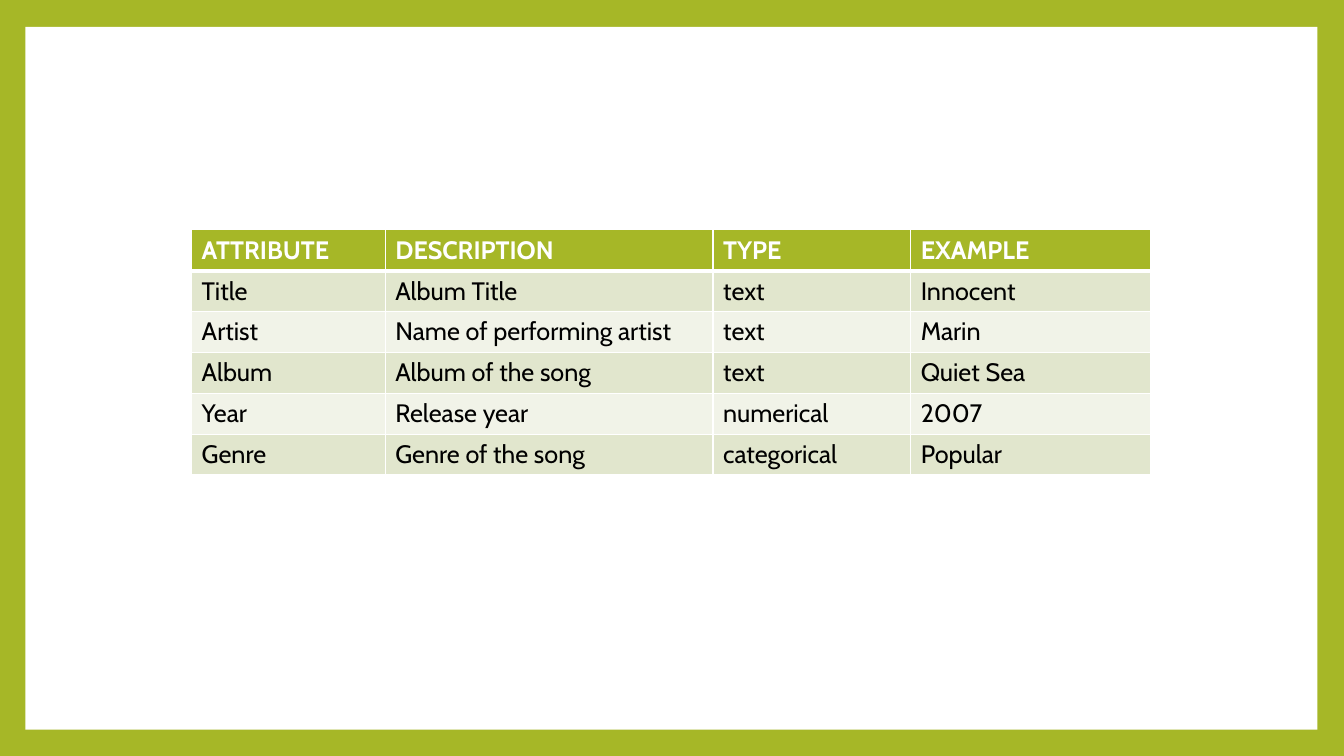
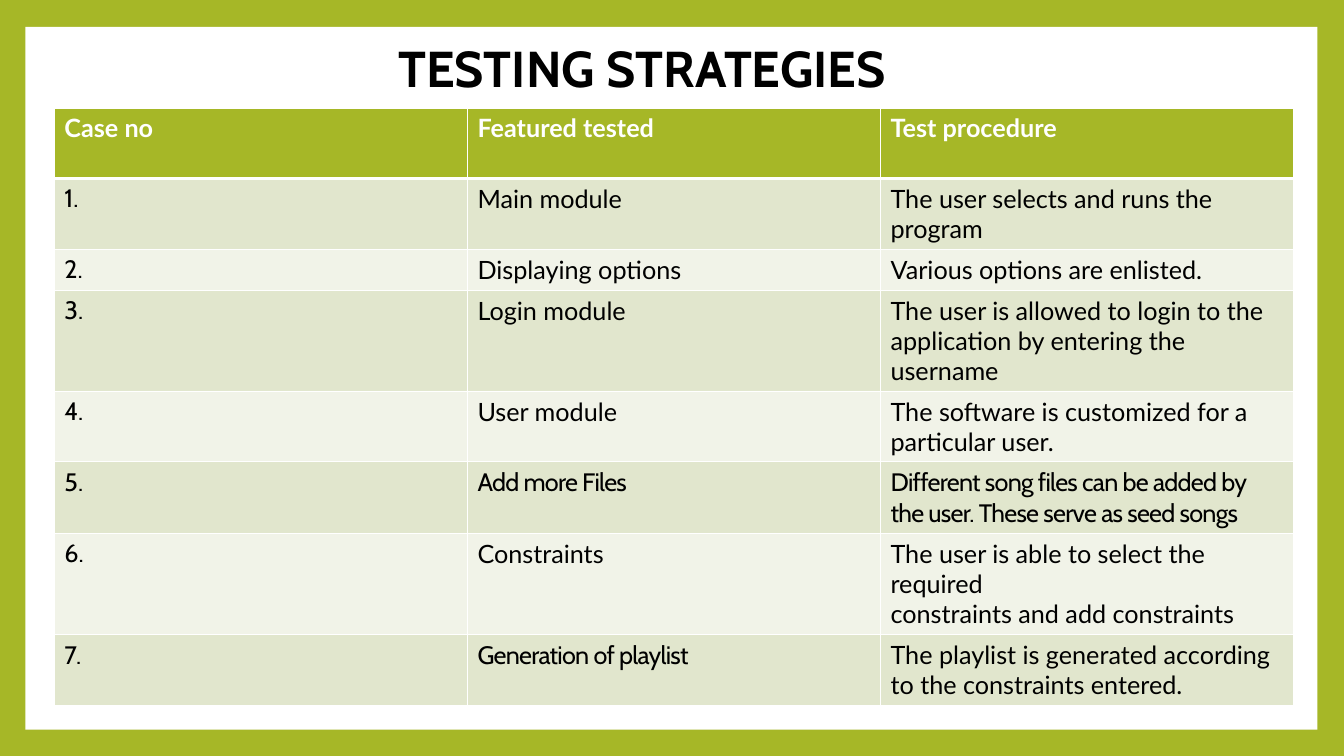
from dataclasses import dataclass

import pptx
import pptx.dml.color
import pptx.enum.shapes
import pptx.enum.text
import pptx.oxml
import pptx.oxml.ns
import pptx.presentation
import pptx.slide
import pptx.table
import pptx.text.text
import pptx.util
from pptx.util import Cm

TITLE_ONLY, BLANK = 5, 6


@dataclass(frozen=True)
class Theme:
    green: str = "A6B727"
    white: str = "FFFFFF"
    black: str = "000000"
    bands: tuple[str, str] = ("E1E6CD", "F1F3E8")
    title_size: int = 36
    table_size: int = 18
    thin_rule: float = 1
    thick_rule: float = 3


@dataclass(frozen=True)
class Typeface:
    name: str
    spacing: float = 0


@dataclass(frozen=True)
class Entry:
    """Text of one table cell; each line becomes a paragraph."""
    text: str
    face: Typeface


@dataclass(frozen=True)
class Grid:
    left: float
    top: float
    columns: tuple[float, ...]
    heights: tuple[float, ...]
    rows: list[list[Entry]]


THEME = Theme()
CABIN = Typeface("Cabin")
CABIN_TIGHT = Typeface("Cabin", -0.5)
LATO = Typeface("Lato")

ATTRIBUTES = [
    ("ATTRIBUTE", "DESCRIPTION", "TYPE", "EXAMPLE"),
    ("Title", "Album Title", "text", "Innocent"),
    ("Artist", "Name of performing artist", "text", "Marin"),
    ("Album", "Album of the song", "text", "Quiet Sea"),
    ("Year", "Release year", "numerical", "2007"),
    ("Genre", "Genre of the song", "categorical", "Popular"),
]

TEST_CASES = [
    (Entry("Main module", LATO),
     Entry("The user selects and runs the program", LATO)),
    (Entry("Displaying options", LATO),
     Entry("Various options are enlisted.", LATO)),
    (Entry("Login module", LATO),
     Entry("The user is allowed to login to the application by entering "
           "the username", LATO)),
    (Entry("User module", LATO),
     Entry("The software is customized for a particular user.", LATO)),
    (Entry("Add more Files", CABIN_TIGHT),
     Entry("Different song files can be added by the user. "
           "These serve as seed songs", CABIN_TIGHT)),
    (Entry("Constraints", LATO),
     Entry("The user is able to select the required\n"
           "constraints and add constraints", LATO)),
    (Entry("Generation of playlist", CABIN_TIGHT),
     Entry("The playlist is generated according to the constraints entered.",
           LATO)),
]


def rgb(color: str) -> pptx.dml.color.RGBColor:
    return pptx.dml.color.RGBColor.from_string(color)


def add_span(para: pptx.text.text._Paragraph, text: str, face: Typeface,
             size: int, color: str, bold: bool) -> None:
    span = para.add_run()
    span.text = text
    span.font.name = face.name
    span.font.size = pptx.util.Pt(size)
    span.font.bold = bold
    span.font.color.rgb = rgb(color)
    if face.spacing:
        span.font._element.set("spc", str(round(face.spacing * 100)))


def set_borders(cell: pptx.table._Cell, top: float, bottom: float) -> None:
    """Rule a cell in white; the line elements must precede its fill."""
    widths = {"lnL": THEME.thin_rule, "lnR": THEME.thin_rule,
              "lnT": top, "lnB": bottom}
    properties = cell._tc.get_or_add_tcPr()
    for index, (tag, width) in enumerate(widths.items()):
        properties.insert(index, pptx.oxml.parse_xml(
            f'<a:{tag} {pptx.oxml.ns.nsdecls("a")} w="{pptx.util.Pt(width)}">'
            f'<a:solidFill><a:srgbClr val="{THEME.white}"/></a:solidFill>'
            f'</a:{tag}>'))


def fill_cell(cell: pptx.table._Cell, entry: Entry, row: int) -> None:
    header = row == 0
    cell.fill.solid()
    cell.fill.fore_color.rgb = rgb(
        THEME.green if header else THEME.bands[(row - 1) % 2])
    set_borders(cell,
                top=THEME.thick_rule if row == 1 else THEME.thin_rule,
                bottom=THEME.thick_rule if header else THEME.thin_rule)
    for index, line in enumerate(entry.text.split("\n")):
        frame = cell.text_frame
        para = frame.add_paragraph() if index else frame.paragraphs[0]
        add_span(para, line, entry.face, THEME.table_size,
                 THEME.white if header else THEME.black, header)


def add_grid(page: pptx.slide.Slide, grid: Grid) -> None:
    table = page.shapes.add_table(
        len(grid.rows), len(grid.columns), Cm(grid.left), Cm(grid.top),
        Cm(sum(grid.columns)), Cm(sum(grid.heights))).table
    for column, width in zip(table.columns, grid.columns):
        column.width = Cm(width)
    for index, (row, height) in enumerate(zip(table.rows, grid.heights)):
        row.height = Cm(height)
        for cell, entry in zip(row.cells, grid.rows[index]):
            fill_cell(cell, entry, index)


def set_title(page: pptx.slide.Slide, text: str) -> None:
    title = page.shapes.title
    title.left, title.top = Cm(9.78), Cm(1.14)
    title.width, title.height = Cm(15.77), Cm(1.32)
    title.text_frame.vertical_anchor = pptx.enum.text.MSO_ANCHOR.MIDDLE
    para = title.text_frame.paragraphs[0]
    para.alignment = pptx.enum.text.PP_ALIGN.LEFT
    para.line_spacing = 0.9
    add_span(para, text, CABIN, THEME.title_size, THEME.black, True)


def style_master(deck: pptx.presentation.Presentation,
                 page: pptx.slide.Slide) -> None:
    """Give the master a green ground and a white panel, drawn via page."""
    master = deck.slide_master
    master.background.fill.solid()
    master.background.fill.fore_color.rgb = rgb(THEME.green)
    panel = page.shapes.add_shape(
        pptx.enum.shapes.MSO_SHAPE.RECTANGLE,
        Cm(0.64), Cm(0.68), Cm(32.56), Cm(17.71))
    panel.shadow.inherit = False
    panel.fill.solid()
    panel.fill.fore_color.rgb = rgb(THEME.white)
    panel.line.fill.background()
    panel.element.nvSpPr.cNvPr.set("id", "50")
    master.element.cSld.spTree.insert(2, panel.element)


def attribute_grid() -> Grid:
    rows = [[Entry(text, CABIN) for text in row] for row in ATTRIBUTES]
    return Grid(4.83, 5.79, (4.88, 8.26, 4.98, 6.05),
                (1.03,) * len(rows), rows)


def testing_grid() -> Grid:
    header = [Entry(text, LATO)
              for text in ("Case no", "Featured tested", "Test procedure")]
    cases = [[Entry(f"{number}.", CABIN), *case]
             for number, case in enumerate(TEST_CASES, start=1)]
    one, two, three = 1.03, 1.78, 2.55
    return Grid(1.37, 2.72, (10.41,) * 3,
                (two, two, one, three, two, two, three, two),
                [header, *cases])


def main() -> None:
    deck = pptx.Presentation()
    deck.slide_width, deck.slide_height = Cm(33.87), Cm(19.05)

    attributes = deck.slides.add_slide(deck.slide_layouts[BLANK])
    style_master(deck, attributes)
    add_grid(attributes, attribute_grid())

    testing = deck.slides.add_slide(deck.slide_layouts[TITLE_ONLY])
    set_title(testing, "TESTING STRATEGIES")
    add_grid(testing, testing_grid())

    deck.save("out.pptx")


if __name__ == "__main__":
    main()
